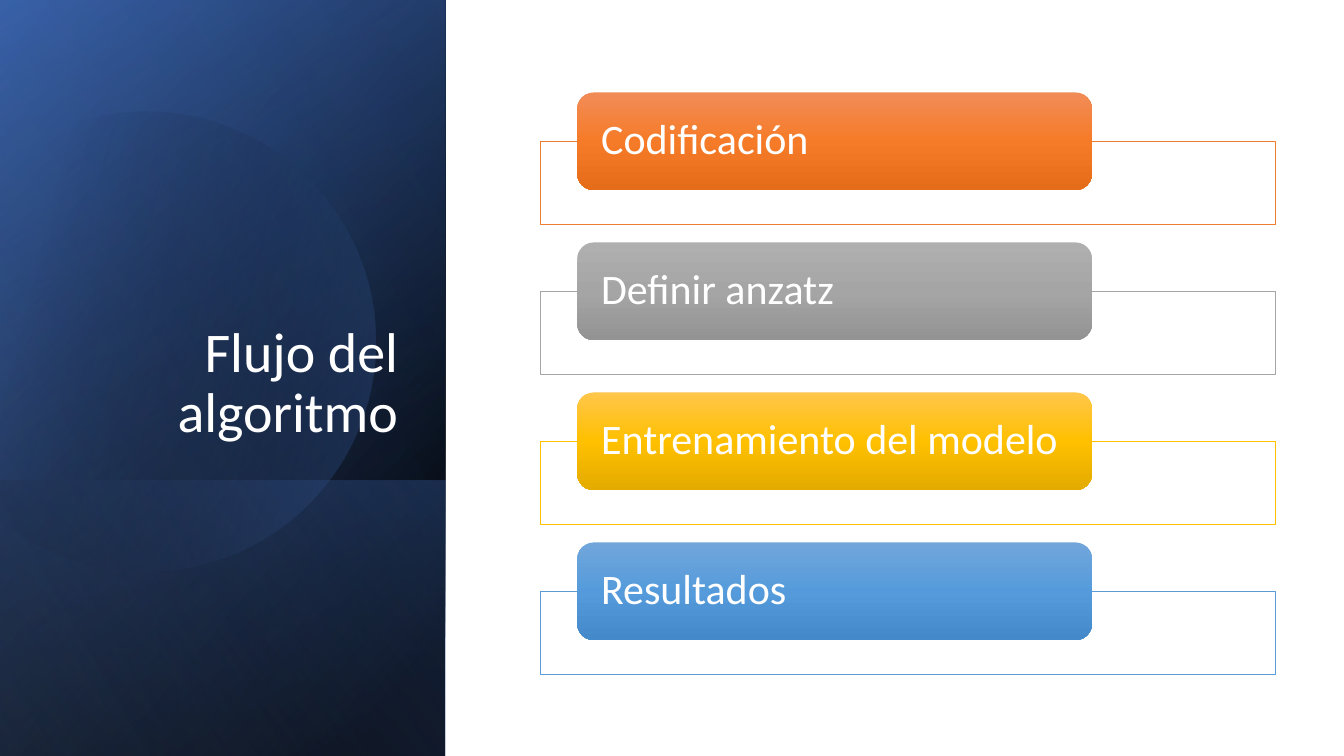
from dataclasses import dataclass
from math import cos, radians, sin

from pptx import Presentation
from pptx import util as u
from pptx.dml.color import RGBColor
from pptx.enum import shapes, text
from pptx.oxml import parse_xml
from pptx.oxml.ns import nsdecls, qn


@dataclass(frozen=True)
class Theme:
    font: str = "Calibri"
    title_size: int = 40
    step_size: int = 30
    white: str = "FFFFFF"
    black: str = "000000"
    navy: str = "2F5597"
    blue: str = "4472C4"
    pale_blue: str = "8FAADC"


THEME = Theme()
SLIDE_HEIGHT = 19.05
PANEL_WIDTH = 11.22
STEP_PITCH = 3.78

PANELS = [
    (0, 50, [(8, THEME.black, 100), (100, THEME.navy, 100)]),
    (0, 30, [(0, THEME.black, 0), (99, THEME.blue, 46)]),
    (12.1, 130, [(2, THEME.blue, 29), (100, THEME.black, 30)]),
]
DISC_STOPS = [(29, THEME.black, 0), (100, THEME.blue, 43)]
SHEEN = (0, 120, [(0, THEME.black, 0), (99, THEME.pale_blue, 11)])

STEPS = [
    ("Codificación", "ED7D31", ("F18C57", "F67B28", "E56C19")),
    ("Definir anzatz", "A5A5A5", ("AFAFAF", "A5A5A5", "939393")),
    ("Entrenamiento del modelo", "FFC000", ("FFC64B", "FFC000", "E3AB00")),
    ("Resultados", "5B9BD5", ("71A6DB", "559BDB", "448ACA")),
]


def color_xml(color, opacity):
    return (f'<a:srgbClr val="{color}">'
            f'<a:alpha val="{opacity * 1000}"/></a:srgbClr>')


def replace_fill(shape, xml):
    shape.fill.solid()
    properties = shape._element.spPr
    properties.replace(properties.find(qn("a:solidFill")), parse_xml(xml))


def fill_gradient(shape, angle, stops):
    stop_xml = "".join(
        f'<a:gs pos="{position * 1000}">{color_xml(color, opacity)}</a:gs>'
        for position, color, opacity in stops)
    replace_fill(shape, (
        f'<a:gradFill {nsdecls("a")} rotWithShape="1">'
        f'<a:gsLst>{stop_xml}</a:gsLst>'
        f'<a:lin ang="{angle * 60000}" scaled="0"/></a:gradFill>'))
    shape.line.fill.background()
    shape.shadow.inherit = False


def add_panel(slide, top, angle, stops):
    height = SLIDE_HEIGHT - top
    offset = (PANEL_WIDTH - height) / 2
    panel = slide.shapes.add_shape(
        shapes.MSO_SHAPE.RECTANGLE, u.Cm(offset), u.Cm(top - offset),
        u.Cm(height), u.Cm(PANEL_WIDTH))
    panel.rotation = 90
    panel._element.spPr.xfrm.set("flipH", "1")
    fill_gradient(panel, angle, stops)


def add_disc(slide):
    center_x, center_y, radius = 3.65, 8.5, 5.8
    start, end = -118, 150
    points = [(u.Cm(center_x + radius * cos(radians(degree))),
               u.Cm(center_y + radius * sin(radians(degree))))
              for degree in (start, -90, 0, 90, end)]
    builder = slide.shapes.build_freeform(*points[0])
    builder.add_line_segments(points[1:], close=True)
    disc = builder.convert_to_shape()

    segments = list(disc._element.spPr.iter(qn("a:lnTo")))
    outline = segments[0].getparent()
    arc = parse_xml(
        f'<a:arcTo {nsdecls("a")} wR="{u.Cm(radius)}" hR="{u.Cm(radius)}" '
        f'stAng="{start % 360 * 60000}" swAng="{(end - start) * 60000}"/>')
    outline.replace(segments[0], arc)
    for segment in segments[1:]:
        outline.remove(segment)

    disc.rotation = 343.9
    fill_gradient(disc, 30, DISC_STOPS)


def write_text(shape, words, size, anchor, alignment):
    frame = shape.text_frame
    frame.word_wrap = True
    frame.vertical_anchor = anchor
    paragraph = frame.paragraphs[0]
    paragraph.text = words
    paragraph.alignment = alignment
    paragraph.line_spacing = 0.9
    paragraph.font.name = THEME.font
    paragraph.font.size = u.Pt(size)
    paragraph.font.color.rgb = RGBColor.from_string(THEME.white)
    return frame


def add_title(slide, words):
    title = slide.shapes.add_textbox(
        u.Cm(1.63), u.Cm(4.68), u.Cm(8.65), u.Cm(6.65))
    write_text(title, words, THEME.title_size,
               text.MSO_ANCHOR.BOTTOM, text.PP_ALIGN.RIGHT)


def add_step(slide, index, words, outline, shades):
    top = 2.33 + index * STEP_PITCH
    box = slide.shapes.add_shape(
        shapes.MSO_SHAPE.RECTANGLE,
        u.Cm(13.61), u.Cm(top + 1.23), u.Cm(18.52), u.Cm(2.1))
    replace_fill(box, f'<a:solidFill {nsdecls("a")}>'
                      f'{color_xml(THEME.white, 90)}</a:solidFill>')
    box.line.color.rgb = RGBColor.from_string(outline)
    box.line.width = u.Pt(0.5)
    box.shadow.inherit = False

    button = slide.shapes.add_shape(
        shapes.MSO_SHAPE.ROUNDED_RECTANGLE,
        u.Cm(14.55), u.Cm(top), u.Cm(12.97), u.Cm(2.46))
    fill_gradient(button, 90, [(position, shade, 100) for position, shade
                               in zip((0, 50, 100), shades)])
    frame = write_text(button, words, THEME.step_size,
                       text.MSO_ANCHOR.MIDDLE, text.PP_ALIGN.LEFT)
    frame.margin_left = frame.margin_right = u.Cm(0.48)
    frame.margin_top = frame.margin_bottom = 0


def main():
    presentation = Presentation()
    presentation.slide_width = u.Cm(33.87)
    presentation.slide_height = u.Cm(SLIDE_HEIGHT)
    slide = presentation.slides.add_slide(presentation.slide_layouts[6])
    for panel in PANELS:
        add_panel(slide, *panel)
    add_disc(slide)
    add_panel(slide, *SHEEN)
    add_title(slide, "Flujo del algoritmo")
    for index, step in enumerate(STEPS):
        add_step(slide, index, *step)
    presentation.save("out.pptx")


if __name__ == "__main__":
    main()
